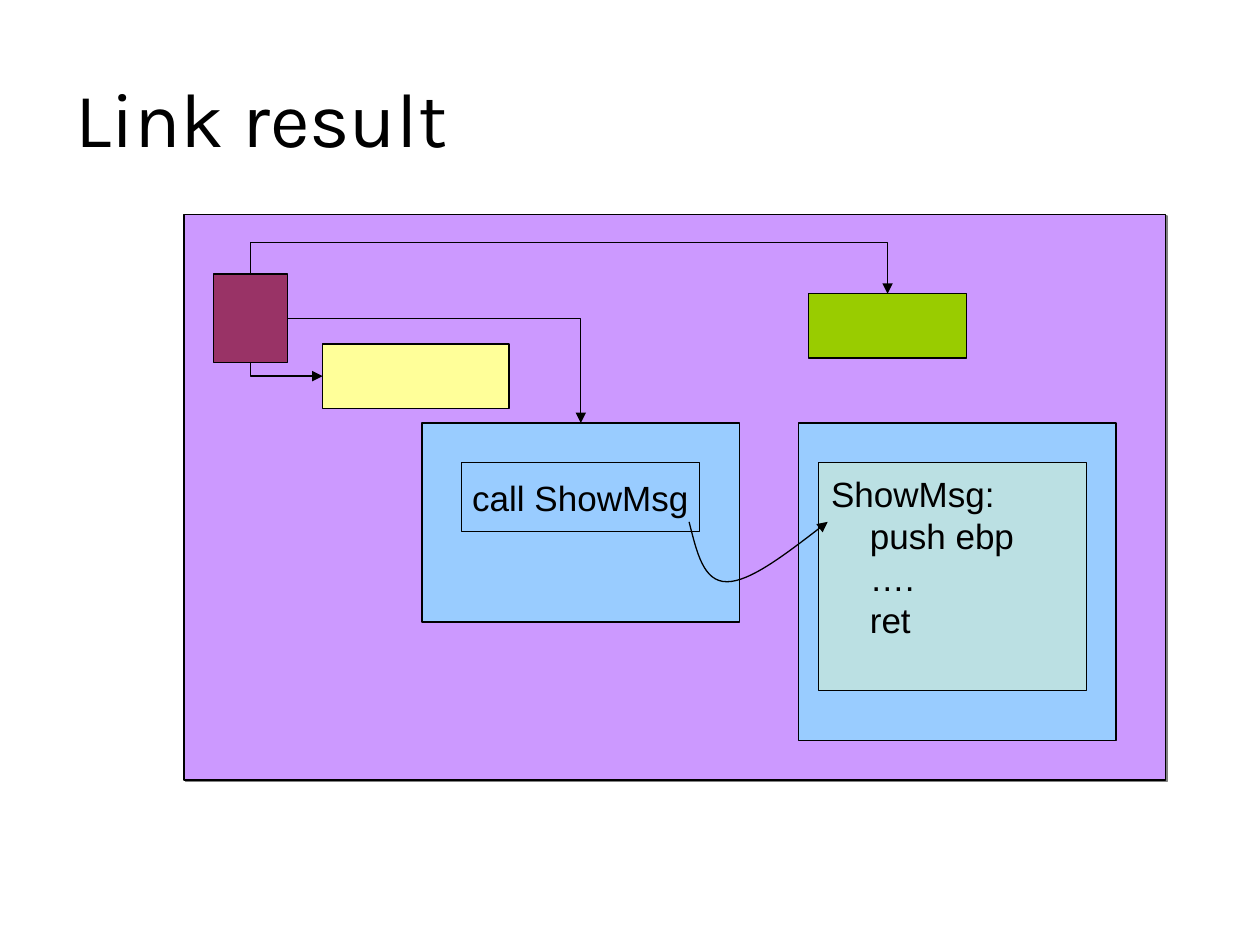
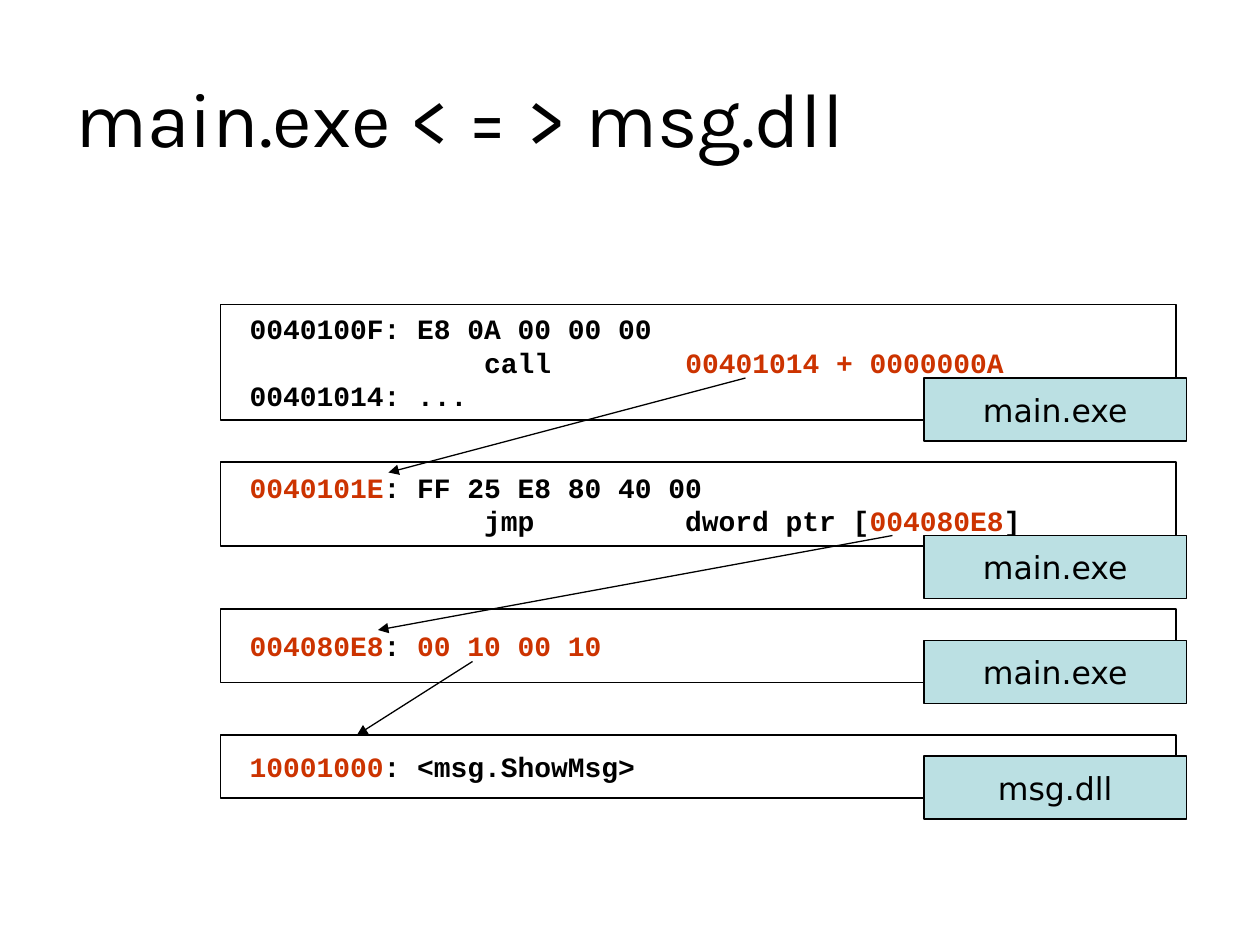
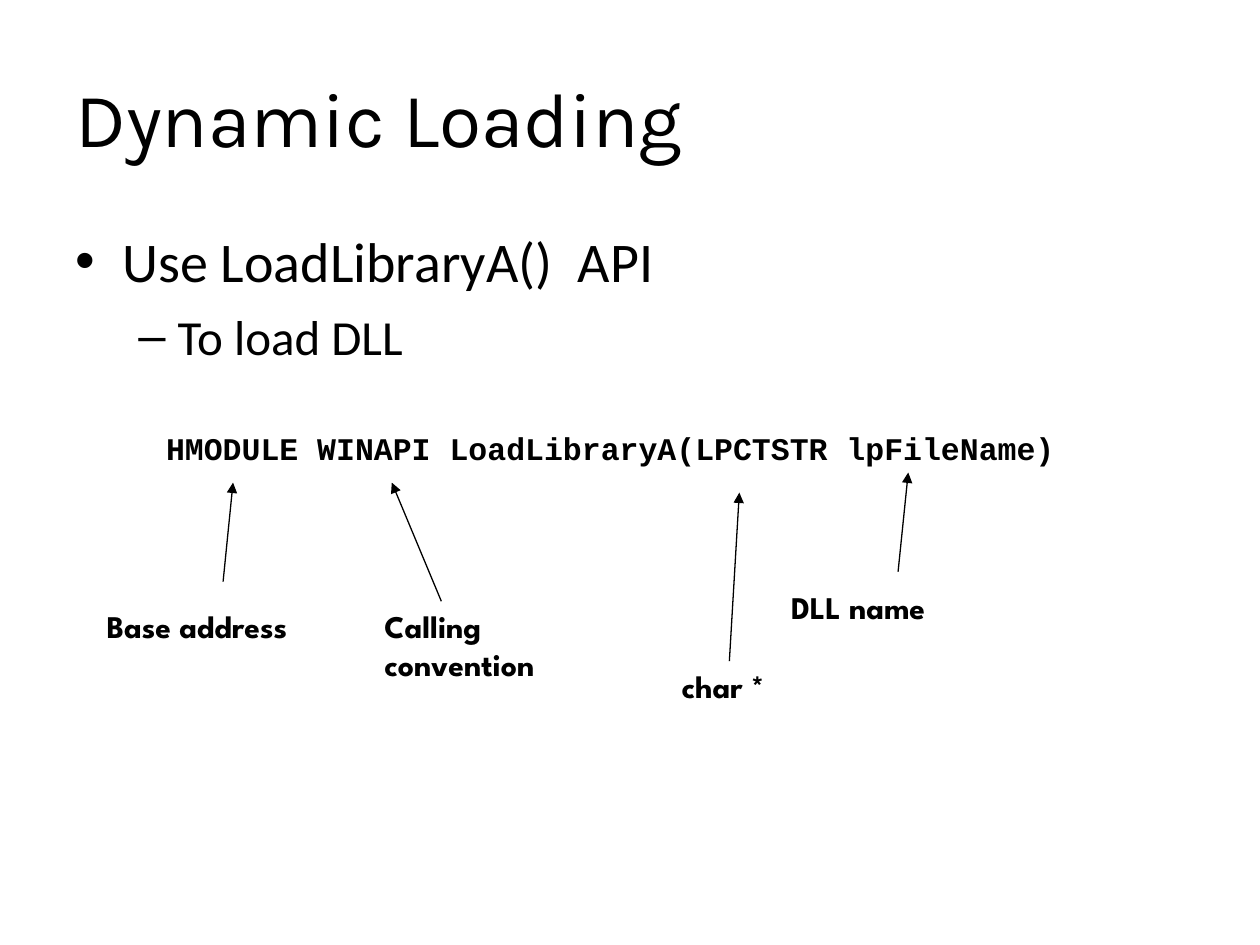
from dataclasses import dataclass
from typing import Any, Optional

import lxml.etree
import pptx
import pptx.dml.color
import pptx.enum.shapes
import pptx.enum.text
import pptx.oxml.ns
import pptx.util

Pt = pptx.util.Pt
RGBColor = pptx.dml.color.RGBColor
ALIGN = pptx.enum.text.PP_ALIGN
ANCHOR = pptx.enum.text.MSO_ANCHOR
CONNECTOR = pptx.enum.shapes.MSO_CONNECTOR
RECTANGLE = pptx.enum.shapes.MSO_SHAPE.RECTANGLE
qn = pptx.oxml.ns.qn

# Shared colours
BLACK = RGBColor(0x00, 0x00, 0x00)
RED = RGBColor(0xCC, 0x33, 0x00)
PURPLE = RGBColor(0xCC, 0x99, 0xFF)
YELLOW = RGBColor(0xFF, 0xFF, 0x99)
BLUE = RGBColor(0x99, 0xCC, 0xFF)
GREEN = RGBColor(0x99, 0xCC, 0x00)
MAROON = RGBColor(0x99, 0x33, 0x66)
TEAL = RGBColor(0xBB, 0xE0, 0xE3)

# Connection sites of a rectangle
TOP, LEFT, BOTTOM, RIGHT = range(4)

# A line of text is cut into pieces that are black and red in turn
Line = tuple[str, ...]
Point = tuple[float, float]


@dataclass(frozen=True)
class Box:
    left: float
    top: float
    width: float
    height: float

    def lengths(self) -> list[int]:
        return [Pt(n) for n in (self.left, self.top, self.width, self.height)]


@dataclass(frozen=True)
class TextStyle:
    font: str
    size: float
    bold: bool = False
    align: Any = ALIGN.LEFT


@dataclass(frozen=True)
class CodeRow:
    box: Box
    lines: list[Line]
    module: str
    module_top: float


@dataclass(frozen=True)
class Callout:
    text: str
    box: Box
    arrow_start: Point
    arrow_end: Point


@dataclass(frozen=True)
class Bullet:
    text: str
    symbol: str
    size: float
    margin: float
    hanging: float
    space_before: float


TITLE_BOX = Box(36, 21.6, 648, 90)
TITLE_STYLE = TextStyle("Karla", 44)
ASSEMBLY_STYLE = TextStyle("Arial", 20)
CALL_STYLE = TextStyle("Arial", 20, align=ALIGN.CENTER)
CODE_STYLE = TextStyle("Courier New", 16, bold=True)
MODULE_STYLE = TextStyle("DejaVu Sans", 18, align=ALIGN.CENTER)
SIGNATURE_STYLE = TextStyle("Courier New", 18, bold=True)
CALLOUT_STYLE = TextStyle("League Spartan", 18, bold=True)


def add_child(parent: Any, tag: str, **attributes: str) -> Any:
    return lxml.etree.SubElement(parent, qn(tag), attributes)


def format_run(run: Any, style: TextStyle, color: RGBColor = BLACK) -> None:
    run.font.name = style.font
    run.font.size = Pt(style.size)
    run.font.bold = style.bold
    run.font.color.rgb = color


def write_lines(shape: Any, lines: list[Line], style: TextStyle) -> None:
    frame = shape.text_frame
    for number, line in enumerate(lines):
        paragraph = frame.add_paragraph() if number else frame.paragraphs[0]
        paragraph.alignment = style.align
        for index, piece in enumerate(line):
            run = paragraph.add_run()
            run.text = piece
            format_run(run, style, RED if index % 2 else BLACK)


def add_text(slide: Any, box: Box, text: str, style: TextStyle,
             anchor: Any = ANCHOR.TOP) -> None:
    shape = slide.shapes.add_textbox(*box.lengths())
    shape.text_frame.word_wrap = True
    shape.text_frame.vertical_anchor = anchor
    write_lines(shape, [(text,)], style)


def set_outline(shape: Any) -> None:
    shape.line.color.rgb = BLACK
    shape.line.width = Pt(0.75)


def add_arrowhead(shape: Any) -> None:
    outline = shape._element.spPr.find(qn("a:ln"))
    add_child(outline, "a:tailEnd", type="triangle")


def add_rectangle(slide: Any, box: Box, fill: Optional[RGBColor] = None,
                  lines: Optional[list[Line]] = None,
                  style: TextStyle = CODE_STYLE) -> Any:
    shape = slide.shapes.add_shape(RECTANGLE, *box.lengths())
    shape.shadow.inherit = False
    set_outline(shape)
    if fill is None:
        shape.fill.background()
    else:
        shape.fill.solid()
        shape.fill.fore_color.rgb = fill
    if lines:
        shape.text_frame.word_wrap = False
        shape.text_frame.vertical_anchor = ANCHOR.MIDDLE
        write_lines(shape, lines, style)
    return shape


def add_drop_shadow(shape: Any) -> None:
    effects = shape._element.spPr.find(qn("a:effectLst"))
    shadow = add_child(effects, "a:outerShdw", dist=str(Pt(1.4)), dir="2700000",
                       algn="ctr", rotWithShape="0")
    add_child(shadow, "a:srgbClr", val="808080")


def finish_connector(connector: Any) -> None:
    set_outline(connector)
    add_arrowhead(connector)
    add_child(connector._element.spPr, "a:effectLst")


def add_arrow(slide: Any, start: Point, end: Point) -> None:
    ends = [Pt(n) for n in start + end]
    finish_connector(slide.shapes.add_connector(CONNECTOR.STRAIGHT, *ends))


def add_elbow(slide: Any, source: Any, source_side: int, target: Any,
              target_side: int, rise: float = 0) -> None:
    """Join two rectangles; rise is how far a two-corner path climbs first."""
    connector = slide.shapes.add_connector(CONNECTOR.ELBOW, 0, 0, 0, 0)
    connector.begin_connect(source, source_side)
    connector.end_connect(target, target_side)
    finish_connector(connector)

    width, height = connector.width, connector.height
    properties = connector._element.spPr
    geometry = properties.find(qn("a:prstGeom"))
    if rise:
        share = round(-Pt(rise) / height * 100000)
        add_child(geometry.find(qn("a:avLst")), "a:gd", name="adj1",
                  fmla=f"val {share}")
    else:
        geometry.set("prst", "bentConnector2")

    # A path that leaves vertically is a turned and mirrored one
    if source_side in (TOP, BOTTOM):
        connector.left += (width - height) // 2
        connector.top += (height - width) // 2
        connector.width, connector.height = height, width
        frame = properties.find(qn("a:xfrm"))
        frame.set("rot", "16200000")
        frame.set("flipH", "1")


def add_curved_arrow(slide: Any, points: list[Point]) -> None:
    """Draw cubic curves: a start, then three points for each curve."""
    corners = [(Pt(x), Pt(y)) for x, y in points]
    builder = slide.shapes.build_freeform(*corners[0])
    builder.add_line_segments(corners[1:], close=False)
    shape = builder.convert_to_shape()
    shape.shadow.inherit = False
    shape.fill.background()
    set_outline(shape)
    add_arrowhead(shape)

    outline = shape._element.spPr.find(".//" + qn("a:path"))
    segments = outline.findall(qn("a:lnTo"))
    for first in range(0, len(segments), 3):
        curve = add_child(outline, "a:cubicBezTo")
        for segment in segments[first:first + 3]:
            curve.append(segment[0])
            outline.remove(segment)


def add_bullets(slide: Any, box: Box, bullets: list[Bullet]) -> None:
    frame = slide.shapes.add_textbox(*box.lengths()).text_frame
    frame.word_wrap = True
    for level, bullet in enumerate(bullets):
        paragraph = frame.add_paragraph() if level else frame.paragraphs[0]
        paragraph.text = bullet.text
        paragraph.level = level
        properties = paragraph._p.get_or_add_pPr()
        properties.set("marL", str(Pt(bullet.margin)))
        properties.set("indent", str(-Pt(bullet.hanging)))
        color = add_child(properties, "a:buClr")
        add_child(color, "a:srgbClr", val=str(BLACK))
        add_child(properties, "a:buFont", typeface="Arial")
        add_child(properties, "a:buChar", char=bullet.symbol)
        paragraph.space_before = Pt(bullet.space_before)
        format_run(paragraph.runs[0], TextStyle("Calibri", bullet.size))


def add_titled_slide(presentation: Any, title: str) -> Any:
    slide = presentation.slides.add_slide(presentation.slide_layouts[6])
    add_text(slide, TITLE_BOX, title, TITLE_STYLE, ANCHOR.MIDDLE)
    return slide


def build_link_result(presentation: Any) -> None:
    slide = add_titled_slide(presentation, "Link result")

    # Executable and its sections
    executable = add_rectangle(slide, Box(105.1, 122.4, 560.9, 323.3), PURPLE)
    add_drop_shadow(executable)
    data = add_rectangle(slide, Box(184.3, 196.6, 106.6, 36.7), YELLOW)
    caller = add_rectangle(slide, Box(241.2, 241.7, 181.4, 113.7), BLUE)
    resource = add_rectangle(slide, Box(462.2, 167.9, 90, 36.7), GREEN)
    header = add_rectangle(slide, Box(121.8, 156.6, 42.5, 50.4), MAROON)

    # Header entries
    add_elbow(slide, header, BOTTOM, data, LEFT)
    add_elbow(slide, header, RIGHT, caller, TOP)
    add_elbow(slide, header, TOP, resource, TOP, rise=18)

    # Call into the linked function
    add_rectangle(slide, Box(456.4, 241.7, 181.4, 181.4), BLUE)
    function = add_rectangle(
        slide, Box(467.8, 264.2, 153.3, 130.3), TEAL,
        [("ShowMsg:",), ("    push ebp",), ("    ….",), ("    ret",)],
        ASSEMBLY_STYLE)
    function.text_frame.margin_bottom = Pt(26.6)
    add_rectangle(slide, Box(263.6, 264.2, 136.1, 39.7), None,
                  [("call ShowMsg",)], CALL_STYLE)
    add_curved_arrow(slide, [
        (393.8, 298.2),
        (398.2, 315.4), (401.8, 332.4), (415.4, 332.4),
        (428.4, 332.4), (450.7, 315.4), (473, 298.2)])


def build_call_chain(presentation: Any) -> None:
    slide = add_titled_slide(presentation, "main.exe < = > msg.dll")
    left, width = 126, 546
    rows = [
        CodeRow(Box(left, 174, width, 66), [
            (" 0040100F: E8 0A 00 00 00",),
            ("               call        ", "00401014 + 0000000A"),
            (" 00401014: ...",)], "main.exe", 216),
        CodeRow(Box(left, 264, width, 48), [
            (" ", "0040101E", ": FF 25 E8 80 40 00"),
            ("               jmp         dword ptr [", "004080E8", "]")],
            "main.exe", 306),
        CodeRow(Box(left, 348, width, 42), [
            (" ", "004080E8", ": ", "00 10 00 10")], "main.exe", 366),
        CodeRow(Box(left, 420, width, 36), [
            (" ", "10001000", ": <msg.ShowMsg>")], "msg.dll", 432),
    ]
    for row in rows:
        add_rectangle(slide, row.box, None, row.lines)

    # Each address leads to the next row
    add_arrow(slide, (426, 216), (222, 270))
    add_arrow(slide, (510, 306), (216, 360))
    add_arrow(slide, (270, 378), (204, 420))

    # Module that holds each row
    for row in rows:
        add_rectangle(slide, Box(528, row.module_top, 150, 36), TEAL,
                      [(row.module,)], MODULE_STYLE)


def build_dynamic_loading(presentation: Any) -> None:
    slide = add_titled_slide(presentation, "Dynamic Loading")
    add_bullets(slide, Box(36, 126, 648, 356.4), [
        Bullet("Use LoadLibraryA()  API", "•", 32, 27, 27, 0),
        Bullet("To load DLL", "–", 28, 58.5, 22.5, 7)])

    # Function signature and the meaning of its parts
    add_text(slide, Box(87.8, 241.9, 591, 28.8),
             "HMODULE WINAPI LoadLibraryA(LPCTSTR lpFileName)", SIGNATURE_STYLE)
    width, height = 141.8, 28.8
    callouts = [
        Callout("Base address", Box(53.9, 343.4, width, height),
                (127.5, 332.4), (133.2, 275.8)),
        Callout("DLL name", Box(445, 332.4, width, height),
                (513.2, 326.7), (519, 270)),
        Callout("Calling convention", Box(212.6, 343.4, width, 50.4),
                (252.2, 343.6), (223.9, 275.8)),
        Callout("char *", Box(382.5, 377.8, width, height),
                (416.8, 377.8), (422.5, 281.5)),
    ]
    for callout in callouts:
        add_arrow(slide, callout.arrow_start, callout.arrow_end)
        add_text(slide, callout.box, callout.text, CALLOUT_STYLE)


def main() -> None:
    presentation = pptx.Presentation()
    presentation.slide_width = Pt(720)
    presentation.slide_height = Pt(540)
    build_link_result(presentation)
    build_call_chain(presentation)
    build_dynamic_loading(presentation)
    presentation.save("out.pptx")


if __name__ == "__main__":
    main()
